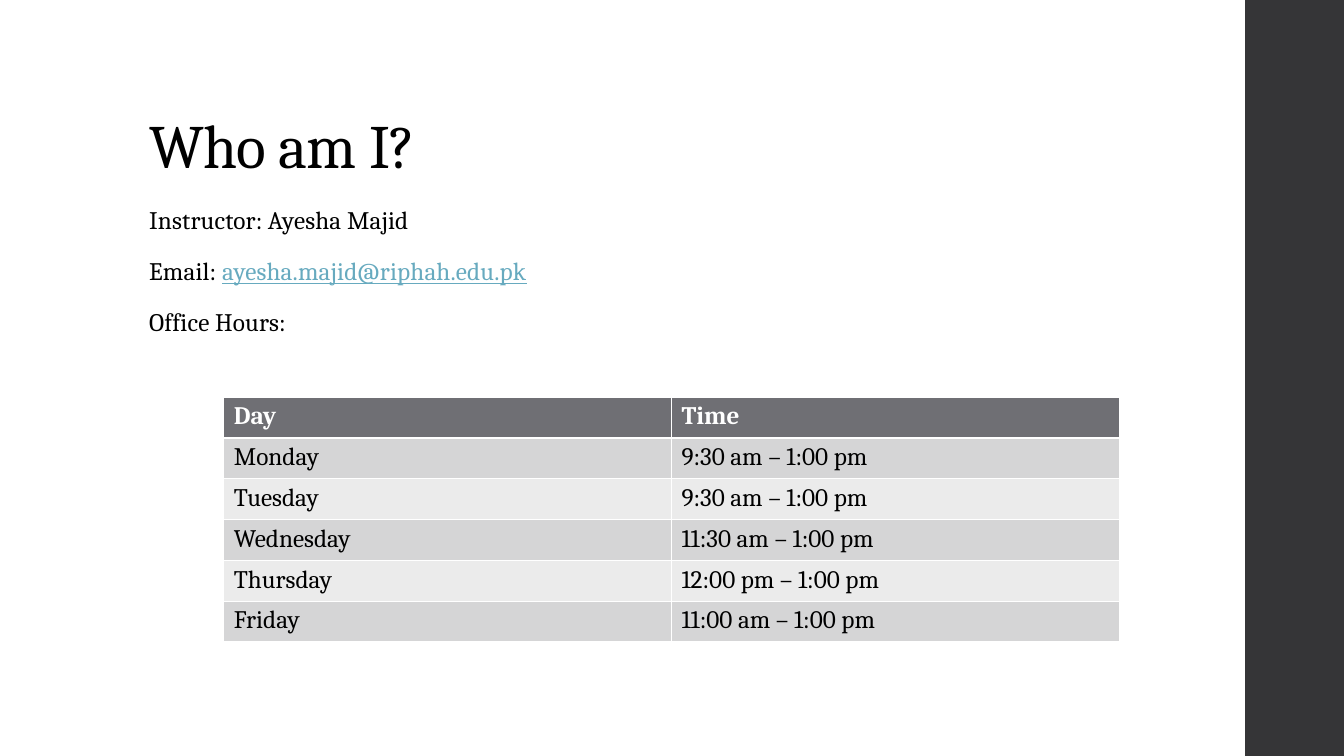
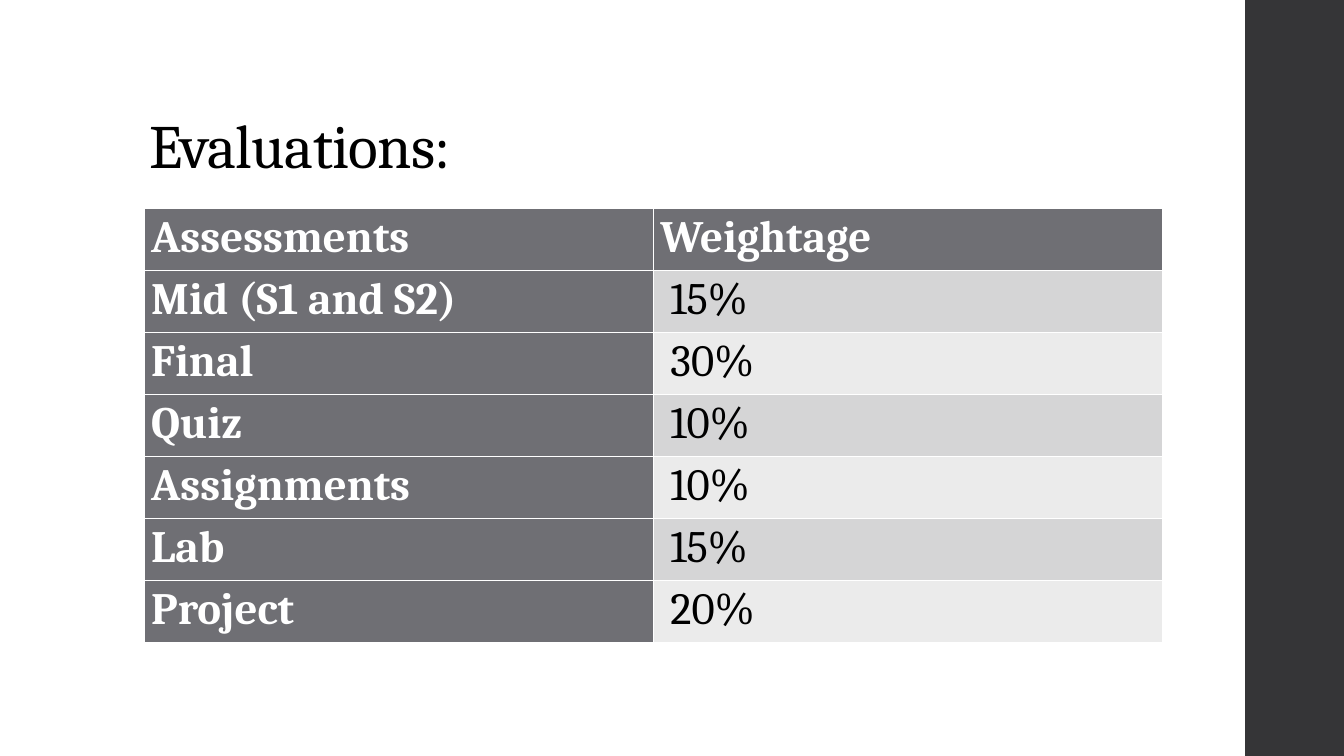
"""Build two course slides: the instructor's office hours and the evaluation scheme."""
import pptx
import pptx.dml.color
import pptx.enum.shapes
import pptx.enum.text
import pptx.oxml.ns
import pptx.util
from pptx.util import Inches

COLORS = {"text": "000000", "light": "FFFFFF", "sidebar": "353537", "header": "6F6F74",
          "odd": "D5D5D6", "even": "EBEBEB", "link": "67AABF"}
FONT = "Cambria"


def rgb(name):
    return pptx.dml.color.RGBColor.from_string(COLORS[name])


def style(paragraph, size, color="text", bold=False, line=1.0, tracking=0):
    paragraph.line_spacing = line
    paragraph.font.name = FONT
    paragraph.font.size = pptx.util.Pt(size)
    paragraph.font.bold = bold
    paragraph.font.color.rgb = rgb(color)
    if tracking:
        defaults = paragraph._p.pPr.find(pptx.oxml.ns.qn("a:defRPr"))
        defaults.set("spc", str(tracking))


office_hours = [("Day", "Time"), ("Monday", "9:30 am – 1:00 pm"), ("Tuesday", "9:30 am – 1:00 pm"),
                ("Wednesday", "11:30 am – 1:00 pm"), ("Thursday", "12:00 pm – 1:00 pm"),
                ("Friday", "11:00 am – 1:00 pm")]
weightage = [("Assessments", "Weightage"), ("Mid (S1 and S2)", "15%"), ("Final", "30%"),
             ("Quiz", "10%"), ("Assignments", "10%"), ("Lab", "15%"), ("Project", "20%")]
contacts = [("Instructor: Ayesha Majid", ""), ("Email: ", "ayesha.majid@riphah.edu.pk"),
            ("Office Hours:", "")]
pages = [
    {"title": "Who am I?", "layout": 1, "contacts": contacts, "rows": office_hours,
     "place": (2.22, 3.94, 8.88, 2.43), "size": 18, "line": 1.0, "first_col": False,
     "side": 0.1, "top": 0.05, "indent": 0},
    {"title": "Evaluations:", "layout": 5, "contacts": [], "rows": weightage,
     "place": (1.43, 2.07, 10.1, 4.31), "size": 32, "line": 1.07, "first_col": True,
     "side": 0.07, "top": 0, "indent": 0.1},
]

prs = pptx.Presentation()
prs.slide_width, prs.slide_height = Inches(13.33), Inches(7.5)

for page in pages:
    slide = prs.slides.add_slide(prs.slide_layouts[page["layout"]])
    sidebar = slide.shapes.add_shape(pptx.enum.shapes.MSO_SHAPE.RECTANGLE,
                                     Inches(12.35), 0, Inches(0.98), prs.slide_height)
    sidebar.shadow.inherit = False
    sidebar.fill.solid()
    sidebar.fill.fore_color.rgb = rgb("sidebar")
    sidebar.line.fill.background()

    title = slide.shapes.title
    title.left, title.top, title.width, title.height = map(Inches, (1.38, 0.4, 10.6, 1.45))
    title.text_frame.text = page["title"]
    title.text_frame.auto_size = pptx.enum.text.MSO_AUTO_SIZE.NONE
    title.text_frame.vertical_anchor = pptx.enum.text.MSO_ANCHOR.BOTTOM
    heading = title.text_frame.paragraphs[0]
    heading.alignment = pptx.enum.text.PP_ALIGN.LEFT
    style(heading, 44, line=0.9, tracking=-50)

    if page["contacts"]:
        details = slide.placeholders[1]
        details.left, details.top, details.width, details.height = map(Inches, (1.38, 2, 9.4, 4.76))
        details.text_frame.auto_size = pptx.enum.text.MSO_AUTO_SIZE.NONE
        for index, (label, address) in enumerate(page["contacts"]):
            entry = details.text_frame.paragraphs[0] if index == 0 else details.text_frame.add_paragraph()
            properties = entry._p.get_or_add_pPr()
            properties.set("marL", "0")
            properties.set("indent", "0")
            properties.append(pptx.oxml.parse_xml(f"<a:buNone {pptx.oxml.ns.nsdecls('a')}/>"))
            entry.space_before = pptx.util.Pt(14 if index else 0)
            entry.space_after = pptx.util.Pt(2)
            style(entry, 18, line=0.95, tracking=10)
            entry.add_run().text = label
            if address:
                email = entry.add_run()
                email.text = address
                email.font.underline = True
                email.font.color.rgb = rgb("link")

    rows = page["rows"]
    table = slide.shapes.add_table(len(rows), 2, *map(Inches, page["place"])).table
    table.first_col = page["first_col"]
    for r, row in enumerate(rows):
        for c, value in enumerate(row):
            is_header = r == 0 or (c == 0 and page["first_col"])
            cell = table.cell(r, c)
            cell.text = value
            cell.fill.solid()
            cell.fill.fore_color.rgb = rgb("header" if is_header else "odd" if r % 2 else "even")
            cell.margin_left = Inches(page["side"] + (0 if is_header else page["indent"]))
            cell.margin_right = Inches(page["side"])
            cell.margin_top = cell.margin_bottom = Inches(page["top"])
            style(cell.text_frame.paragraphs[0], page["size"], "light" if is_header else "text",
                  is_header, page["line"])

prs.save("out.pptx")
